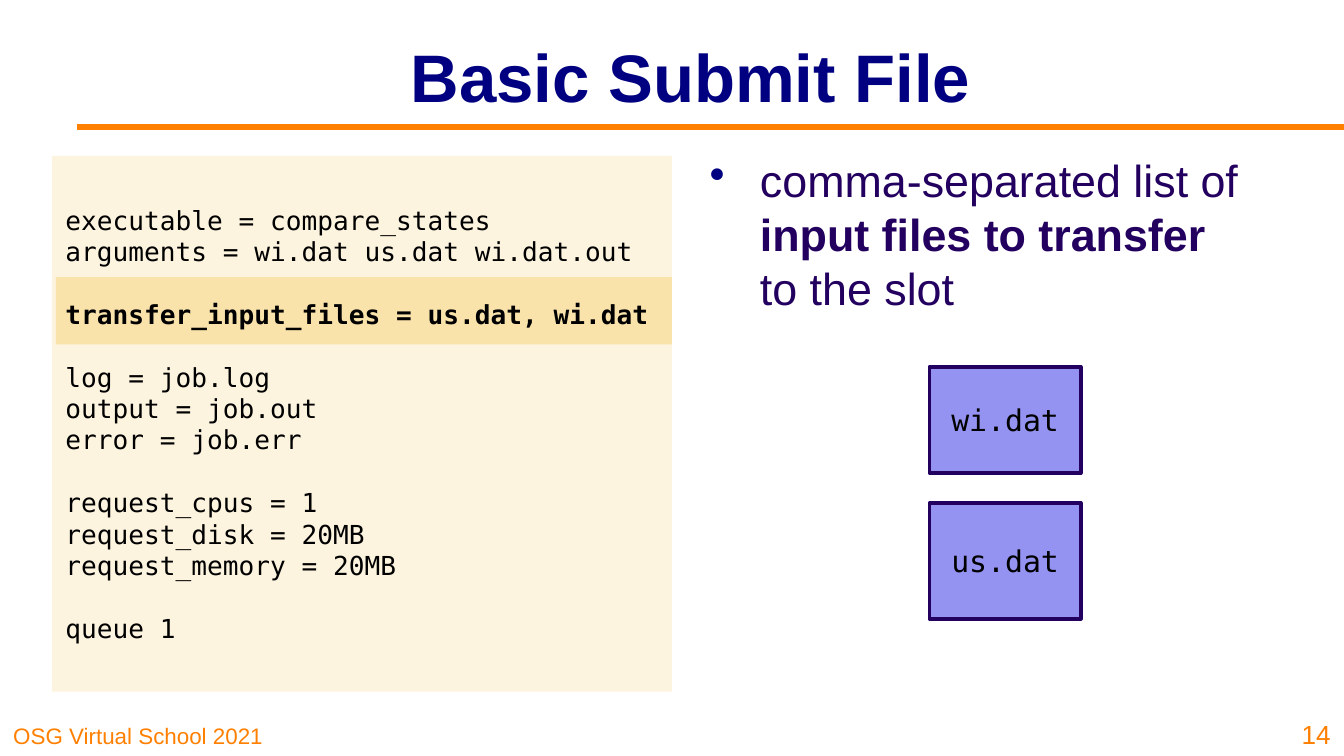
from lxml.etree import SubElement
from pptx import Presentation
from pptx.dml.color import RGBColor
from pptx.enum.shapes import MSO_CONNECTOR, MSO_SHAPE
from pptx.enum.text import MSO_ANCHOR, PP_ALIGN
from pptx.oxml.ns import qn
from pptx.util import Pt

SANS, MONO = "Arial", "DejaVu Sans Mono"
ORANGE, NAVY, PURPLE, BLACK = "FF8000", "000080", "23005F", "000000"
CODE_GROUPS = [
    ["executable = compare_states", "arguments = wi.dat us.dat wi.dat.out"],
    ["transfer_input_files = us.dat, wi.dat"],
    ["log = job.log", "output = job.out", "error = job.err"],
    ["request_cpus = 1", "request_disk = 20MB", "request_memory = 20MB"],
    ["queue 1"],
]
HIGHLIGHTED_GROUP = 1
CODE_LINE_HEIGHT = 16.8
CODE_BOX = (28, 83.5, 332, 287)


def color(value):
    """Turn a hex string into a colour."""
    return RGBColor.from_string(value)


def add_run(paragraph, text, size=14, font=SANS, fill=BLACK, bold=False):
    """Append formatted text to a paragraph."""
    run = paragraph.add_run()
    run.text = text
    run.font.size = Pt(size)
    run.font.name = font
    run.font.bold = bold
    run.font.color.rgb = color(fill)


def add_text_frame(slide, box, anchor=MSO_ANCHOR.TOP):
    """Add a wrapping text box and return its frame."""
    frame = slide.shapes.add_textbox(*map(Pt, box)).text_frame
    frame.word_wrap = True
    frame.vertical_anchor = anchor
    return frame


def add_label(slide, box, text, anchor=MSO_ANCHOR.BOTTOM, align=PP_ALIGN.LEFT, **text_format):
    """Add a text box with a single paragraph."""
    paragraph = add_text_frame(slide, box, anchor).paragraphs[0]
    paragraph.alignment = align
    add_run(paragraph, text, **text_format)


def add_rectangle(slide, box, fill, outline=None):
    """Add a filled rectangle, outlined on request."""
    shape = slide.shapes.add_shape(MSO_SHAPE.RECTANGLE, *map(Pt, box))
    shape.shadow.inherit = False
    shape.fill.solid()
    shape.fill.fore_color.rgb = color(fill)
    if outline:
        shape.line.color.rgb = color(outline)
        shape.line.width = Pt(2)
    else:
        shape.line.fill.background()
    return shape


def add_rule(slide, left, right, top):
    """Add the horizontal line below the title."""
    line = slide.shapes.add_connector(
        MSO_CONNECTOR.STRAIGHT, Pt(left), Pt(top), Pt(right), Pt(top))
    line.line.color.rgb = color(ORANGE)
    line.line.width = Pt(3)
    SubElement(line._element.spPr, qn("a:effectLst"))


def add_code(slide):
    """Add the submit file with a gap between groups of lines."""
    frame = add_text_frame(slide, CODE_BOX, MSO_ANCHOR.MIDDLE)
    for group_index, group in enumerate(CODE_GROUPS):
        for line_index, line in enumerate(group):
            first = group_index == line_index == 0
            paragraph = frame.paragraphs[0] if first else frame.add_paragraph()
            if line_index == 0 and not first:
                paragraph.space_before = Pt(CODE_LINE_HEIGHT)
            add_run(paragraph, line, font=MONO, bold=group_index == HIGHLIGHTED_GROUP)


def add_bullet(paragraph, indent, fill):
    """Give a paragraph a coloured bullet and a hanging indent."""
    properties = paragraph._p.get_or_add_pPr()
    properties.set("marL", str(Pt(indent)))
    properties.set("indent", str(-Pt(indent)))
    bullet_color = SubElement(properties, qn("a:buClr"))
    SubElement(bullet_color, qn("a:srgbClr")).set("val", fill)
    SubElement(properties, qn("a:buChar")).set("char", "•")


def add_explanation(slide):
    """Add the bullet that explains the highlighted line."""
    paragraph = add_text_frame(slide, (373, 78.5, 300, 276.5)).paragraphs[0]
    add_bullet(paragraph, 27, NAVY)
    parts = [("comma-separated list of ", False),
             ("input files to transfer ", True),
             ("to the slot", False)]
    for text, bold in parts:
        add_run(paragraph, text, size=24, fill=PURPLE, bold=bold)


def add_file(slide, name, top, height):
    """Add a box that stands for a data file."""
    shape = add_rectangle(slide, (498, top, 81, height), "9493F1", PURPLE)
    frame = shape.text_frame
    frame.vertical_anchor = MSO_ANCHOR.MIDDLE
    paragraph = frame.paragraphs[0]
    paragraph.alignment = PP_ALIGN.CENTER
    add_run(paragraph, name, size=16, font=MONO)


def main():
    """Build and save the slide."""
    presentation = Presentation()
    presentation.slide_width, presentation.slide_height = Pt(720), Pt(405)
    slide = presentation.slides.add_slide(presentation.slide_layouts[6])
    add_label(slide, (0, 382.5, 178.5, 22.5), "OSG Virtual School 2021", size=12, fill=ORANGE)
    add_rule(slide, 41, 720, 68.2)
    add_rectangle(slide, CODE_BOX, "FDF4DF")
    add_rectangle(slide, (30, 148.5, 330, 36), "FAE3AA")
    add_code(slide)
    add_label(slide, (96.5, 6.5, 547, 67.5), "Basic Submit File",
              anchor=MSO_ANCHOR.MIDDLE, align=PP_ALIGN.CENTER,
              size=36, fill=NAVY, bold=True)
    add_explanation(slide)
    add_file(slide, "wi.dat", 196.5, 57)
    add_file(slide, "us.dat", 269.5, 62)
    add_label(slide, (687, 378, 33, 27), "14", align=PP_ALIGN.RIGHT, fill=ORANGE)
    presentation.save("out.pptx")


if __name__ == "__main__":
    main()
